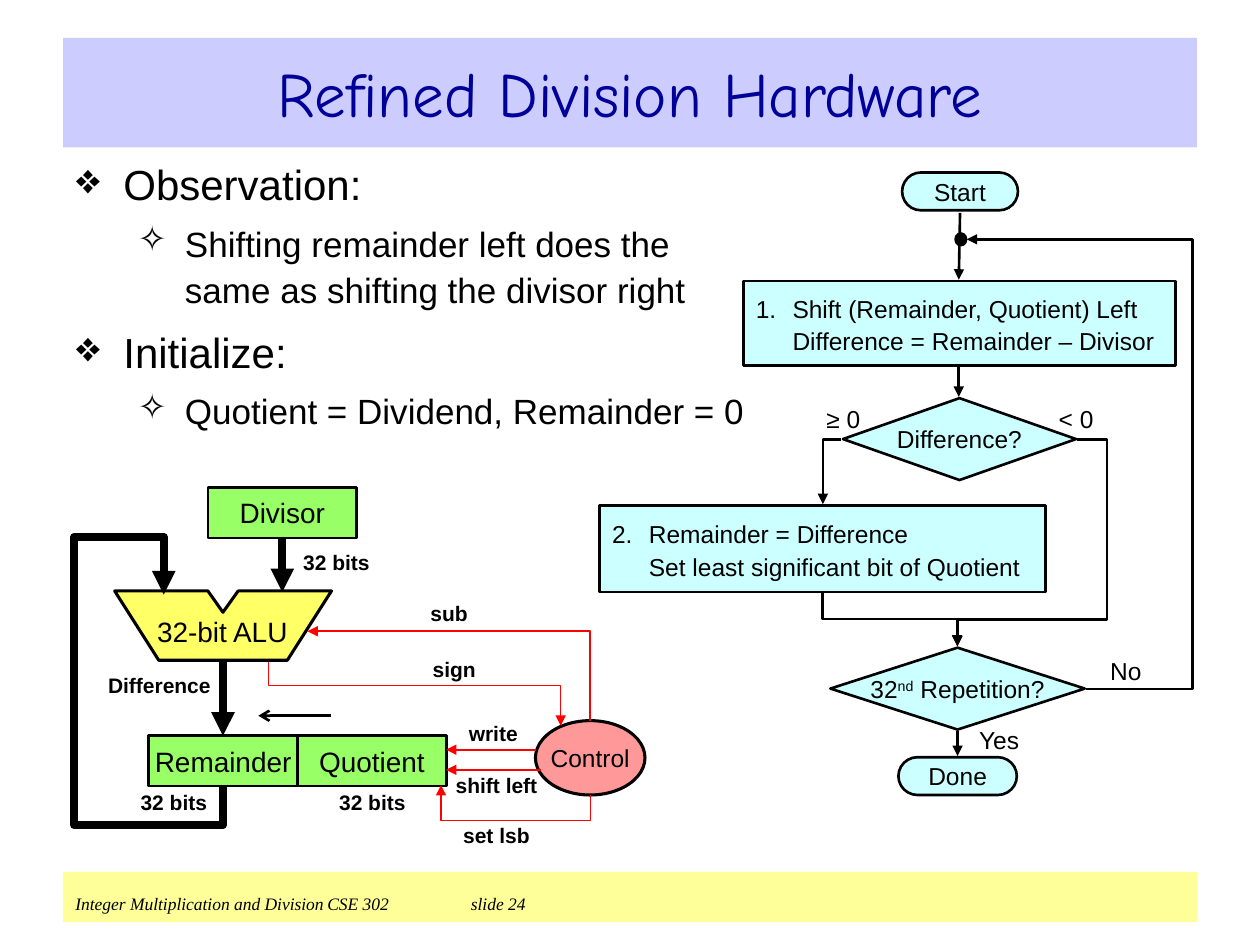
from dataclasses import dataclass
from typing import Any, Optional

from lxml import etree
from pptx import Presentation
from pptx import util as u
from pptx.dml.color import RGBColor
from pptx.enum import shapes, text
from pptx.oxml import ns

Pt = u.Pt
Kind = shapes.MSO_SHAPE
Point = tuple[float, float]
Frame = tuple[float, float, float, float]


@dataclass(frozen=True)
class Theme:
    """Colours, fonts and type sizes of the slide."""
    black: str = "000000"
    red: str = "FF0000"
    navy: str = "000099"
    lavender: str = "CCCCFF"
    cream: str = "FFFF99"
    cyan: str = "CCFFFF"
    green: str = "99FF66"
    yellow: str = "FFFF66"
    pink: str = "FF9999"
    sans: str = "Arial"
    serif: str = "Times New Roman"
    hand: str = "Comic Neue"
    heading: int = 36
    topic: int = 24
    detail: int = 20
    unit: int = 16
    step: int = 14
    signal: int = 12
    footer: int = 10


THEME = Theme()


@dataclass(frozen=True)
class Node:
    """A filled shape with an optional centred caption."""
    kind: Any
    frame: Frame
    fill: str
    caption: str = ""
    size: int = THEME.step
    line: float = 1.5


@dataclass(frozen=True)
class Step:
    """A numbered flowchart box with two lines."""
    number: int
    frame: Frame
    lines: tuple[str, str]


@dataclass(frozen=True)
class Label:
    """A free caption centred in its frame."""
    frame: Frame
    caption: str
    size: int = THEME.signal
    bold: bool = True


@dataclass(frozen=True)
class Wire:
    """A straight or angled line with an arrowhead at its last point."""
    points: tuple[Point, ...]
    color: str = THEME.black
    width: float = 1.5
    arrow: str = "triangle"


@dataclass(frozen=True)
class Elbow:
    """A bent connector given by its frame, turn, flips and adjustments."""
    preset: str
    frame: Frame
    turn: int = 0
    flip: str = ""
    adjust: tuple[float, ...] = ()


@dataclass(frozen=True)
class Bullet:
    """One paragraph of the outline."""
    caption: str
    level: int
    before: float
    mark: Optional[str] = None


NODES = [
    Node(Kind.OVAL, (545.8, 133.2, 6.5, 7.2), THEME.black, line=1),
    Node(Kind.FLOWCHART_TERMINATOR, (515.5, 98.6, 66.2, 21.6), THEME.cyan, "Start"),
    Node(Kind.FLOWCHART_DECISION, (481.7, 227.5, 133.2, 46.8), THEME.cyan, "Difference?"),
    Node(Kind.FLOWCHART_DECISION, (474.5, 370.1, 145.4, 46.8), THEME.cyan, "32^nd^ Repetition?"),
    Node(Kind.FLOWCHART_TERMINATOR, (513.4, 432.7, 67.7, 21.6), THEME.cyan, "Done"),
    Node(Kind.RECTANGLE, (118.8, 278.6, 85, 28.8), THEME.green, "Divisor", THEME.unit),
    Node(Kind.RECTANGLE, (85, 420.5, 85, 28.8), THEME.green, "Remainder", THEME.unit),
    Node(Kind.RECTANGLE, (170, 420.5, 85, 28.8), THEME.green, "Quotient", THEME.unit),
    Node(Kind.OVAL, (306, 411.8, 62.6, 42.5), THEME.pink, "Control", line=1.75),
]
STEPS = [
    Step(1, (424.8, 160.6, 247, 48.2), ("Shift (Remainder, Quotient) Left", "Difference = Remainder – Divisor")),
    Step(2, (342.7, 288.7, 254.9, 49.7), ("Remainder = Difference", "Set least significant bit of Quotient")),
]
ALU = ((189.4, 337.7), (136.1, 337.7), (127.4, 349.9), (118.8, 337.7), (65.5, 337.7), (90.7, 377.3), (164.2, 377.3))
LABELS = [
    Label((597.6, 226.8, 34.6, 24.5), "< 0", THEME.step, False),
    Label((465.1, 226.8, 33.8, 24.5), "≥ 0", THEME.step, False),
    Label((627.1, 370.8, 32.4, 24.5), "No", THEME.step, False),
    Label((551.5, 414.7, 38.9, 15.8), "Yes", THEME.step, False),
    Label((87.1, 347, 79.9, 28.1), "32-bit ALU", THEME.unit, False),
    Label((257.8, 439.9, 51.8, 17.3), "shift left"),
    Label((169.2, 312.5, 46.1, 17.3), "32 bits"),
    Label((190.1, 451.4, 45.4, 14.4), "32 bits"),
    Label((76.3, 451.4, 46.1, 14.4), "32 bits"),
    Label((263.5, 411.8, 36.7, 14.4), "write"),
    Label((238.3, 343.4, 36.7, 14.4), "sub"),
    Label((241.2, 375.1, 36.7, 14.4), "sign"),
    Label((59.8, 383, 62.6, 17.3), "Difference"),
    Label((254.9, 468.7, 57.6, 17.3), "set lsb"),
]
WIRES = [
    Wire(((548.6, 121.7), (547.9, 159.8))),
    Wire(((547.9, 209.5), (547.9, 226.8))),
    Wire(((547.2, 417.6), (547.2, 432))),
    Wire(((189.4, 409), (147.6, 409)), arrow="arrow"),
    Wire(((127.4, 377.3), (127.4, 420.5)), width=4.5),
    Wire(((161.3, 307.4), (161.3, 338.4)), width=4.5),
    Wire(((127.4, 448.6), (127.4, 471.6), (42.5, 471.6), (42.5, 306.7), (93.6, 306.7), (93.6, 339.8)), width=4.5),
    Wire(((308.9, 439.9), (254.9, 439.9)), THEME.red, 1),
    Wire(((306, 428.4), (254.9, 428.4)), THEME.red, 1),
    Wire(((337.3, 411.8), (337.3, 360.7), (175.7, 360.7)), THEME.red, 1),
    Wire(((153.4, 378), (153.4, 391.7), (320.4, 391.7), (320.4, 414.7)), THEME.red, 0.75),
    Wire(((337.3, 454.3), (337.3, 468.7), (252, 468.7), (252, 448.6)), THEME.red, 0.75),
]
ELBOWS = [
    Elbow("bentConnector2", (470.2, 251.3, 10.4, 36.7), 180, "v"),
    Elbow("bentConnector3", (493.3, 315.3, 30.2, 77), 270, "h", (0.5,)),
    Elbow("bentConnector4", (547.2, 251.3, 68.4, 118.1), 0, "h", (-0.25, 0.87)),
    Elbow("bentConnector3", (552.5, 136.8, 67.9, 257), 0, "hv", (-0.9,)),
]
OUTLINE = [
    Bullet("Observation:", 0, 0, "❖"),
    Bullet("Shifting remainder left does the", 1, 7.5, "✧"),
    Bullet("same as shifting the divisor right", 1, 2.5),
    Bullet("Initialize:", 0, 9, "❖"),
    Bullet("Quotient = Dividend, Remainder = 0", 1, 7.5, "✧"),
]


def assign(target: Any, **values: Any) -> None:
    """Set every given attribute on the target."""
    for name, value in values.items():
        setattr(target, name, value)


def frame_text(box: Any, margins: Frame = (0, 0, 0, 0), anchor: Any = text.MSO_ANCHOR.MIDDLE,
               wrap: bool = True) -> Any:
    """Format the text frame of a box and return it."""
    left, top, right, bottom = map(Pt, margins)
    assign(box.text_frame, margin_left=left, margin_top=top, margin_right=right, margin_bottom=bottom,
           vertical_anchor=anchor, word_wrap=wrap, auto_size=text.MSO_AUTO_SIZE.NONE)
    return box.text_frame


def write(para: Any, caption: str, size: int, name: str = THEME.sans, color: str = THEME.black, **style: Any) -> None:
    """Add a caption whose pieces between carets are superscript."""
    for index, piece in enumerate(caption.split("^")):
        span = para.add_run()
        span.text = piece
        assign(span.font, size=Pt(size), name=name, **style)
        span.font.color.rgb = RGBColor.from_string(color)
        if index % 2:
            span.font._element.set("baseline", "30000")


def hang(para: Any, left: float, first: float, tag: str = "a:buNone", **mark: str) -> None:
    """Give a paragraph a hanging indent and a bullet."""
    props = para._p.get_or_add_pPr()
    props.set("marL", str(int(Pt(left))))
    props.set("indent", str(int(Pt(first))))
    etree.SubElement(props, ns.qn(tag), **mark)


def paint(box: Any, fill: str, line: float = 0) -> None:
    """Fill a shape and outline it in black when a width is given."""
    box.shadow.inherit = False
    box.fill.solid()
    box.fill.fore_color.rgb = RGBColor.from_string(fill)
    if line:
        assign(box.line, width=Pt(line))
        box.line.color.rgb = RGBColor.from_string(THEME.black)
    else:
        box.line.fill.background()


def stroke(link: Any, color: str, width: float, arrow: str) -> None:
    """Set line colour, width and end arrow, without a shadow."""
    link.line.color.rgb = RGBColor.from_string(color)
    link.line.width = Pt(width)
    props = link._element.spPr
    etree.SubElement(props.find(ns.qn("a:ln")), ns.qn("a:tailEnd"), type=arrow)
    etree.SubElement(props, ns.qn("a:effectLst"))


def outline(page: Any, points: tuple[Point, ...], close: bool) -> Any:
    """Build a freeform through the points."""
    (x, y), *rest = [(Pt(a), Pt(b)) for a, b in points]
    builder = page.shapes.build_freeform(x, y)
    builder.add_line_segments(rest, close=close)
    return builder.convert_to_shape()


def draw_node(page: Any, node: Node) -> None:
    """Draw a node with its caption."""
    box = page.shapes.add_shape(node.kind, *map(Pt, node.frame))
    paint(box, node.fill, node.line)
    if node.caption:
        para = frame_text(box, wrap=False).paragraphs[0]
        para.alignment = text.PP_ALIGN.CENTER
        write(para, node.caption, node.size)


def draw_step(page: Any, step: Step) -> None:
    """Draw a numbered step."""
    box = page.shapes.add_shape(Kind.RECTANGLE, *map(Pt, step.frame))
    paint(box, THEME.cyan, 1.5)
    frame = frame_text(box, (7.2, 3.6, 0, 3.6))
    for index, line in enumerate(step.lines):
        para = frame.add_paragraph() if index else frame.paragraphs[0]
        assign(para, alignment=text.PP_ALIGN.LEFT, line_spacing=1.1)
        if index:
            hang(para, 21, 0)
        else:
            hang(para, 21, -21, "a:buAutoNum", type="arabicPeriod", startAt=str(step.number))
        write(para, line, THEME.step)


def draw_label(page: Any, label: Label) -> None:
    """Draw a free caption."""
    para = frame_text(page.shapes.add_textbox(*map(Pt, label.frame))).paragraphs[0]
    para.alignment = text.PP_ALIGN.CENTER
    write(para, label.caption, label.size, bold=label.bold)


def draw_wire(page: Any, wire: Wire) -> None:
    """Draw a straight connector or an open angled line."""
    if len(wire.points) == 2:
        start, end = wire.points
        link = page.shapes.add_connector(shapes.MSO_CONNECTOR.STRAIGHT, *map(Pt, (*start, *end)))
    else:
        link = outline(page, wire.points, False)
        link.fill.background()
    stroke(link, wire.color, wire.width, wire.arrow)


def draw_elbow(page: Any, elbow: Elbow) -> None:
    """Draw a bent connector."""
    left, top, width, height = elbow.frame
    xs, ys = (left, left + width), (top, top + height)
    h, v = "h" in elbow.flip, "v" in elbow.flip
    link = page.shapes.add_connector(shapes.MSO_CONNECTOR.ELBOW, *map(Pt, (xs[h], ys[v], xs[not h], ys[not v])))
    props = link._element.spPr
    props.find(ns.qn("a:xfrm")).set("rot", str(elbow.turn * 60000))
    shape = props.find(ns.qn("a:prstGeom"))
    shape.set("prst", elbow.preset)
    for index, value in enumerate(elbow.adjust, 1):
        etree.SubElement(shape.find(ns.qn("a:avLst")), ns.qn("a:gd"),
                         name=f"adj{index}", fmla=f"val {round(value * 100000)}")
    stroke(link, THEME.black, 1.5, "triangle")


def draw_title(page: Any) -> None:
    """Place and format the title."""
    box = page.shapes.title
    assign(box, left=Pt(36), top=Pt(21.6), width=Pt(648), height=Pt(62.6))
    box.fill.solid()
    box.fill.fore_color.rgb = RGBColor.from_string(THEME.lavender)
    para = frame_text(box).paragraphs[0]
    para.alignment = text.PP_ALIGN.CENTER
    write(para, "Refined Division Hardware", THEME.heading, THEME.hand, THEME.navy)


def draw_footer(page: Any) -> None:
    """Draw the footer band with its tabbed text."""
    box = page.shapes.add_shape(Kind.RECTANGLE, *map(Pt, (36, 498.2, 648, 28.8)))
    paint(box, THEME.cream)
    para = frame_text(box, (7.2, 12, 7.2, 0), text.MSO_ANCHOR.TOP).paragraphs[0]
    para.alignment = text.PP_ALIGN.LEFT
    tabs = etree.SubElement(para._p.get_or_add_pPr(), ns.qn("a:tabLst"))
    for stop in (144, 226):
        etree.SubElement(tabs, ns.qn("a:tab"), pos=str(int(Pt(stop))), algn="l")
    write(para, "Integer Multiplication and Division\tCSE 302\tslide 24", THEME.footer, THEME.serif, italic=True)


def draw_outline(page: Any) -> None:
    """Draw the bulleted outline."""
    box = page.shapes.add_textbox(*map(Pt, (36, 87.1, 409, 197.3)))
    frame = frame_text(box, (7.2, 3.6, 7.2, 3.6), text.MSO_ANCHOR.TOP)
    for index, bullet in enumerate(OUTLINE):
        para = frame.add_paragraph() if index else frame.paragraphs[0]
        assign(para, level=bullet.level, space_before=Pt(bullet.before))
        left = (27.4, 62.6)[bullet.level]
        if bullet.mark:
            hang(para, left, -27, "a:buChar", char=bullet.mark)
        else:
            hang(para, left, 0)
        write(para, bullet.caption, (THEME.topic, THEME.detail)[bullet.level])


def main() -> None:
    """Build the slide and save the deck."""
    deck = Presentation()
    assign(deck, slide_width=Pt(720), slide_height=Pt(540))
    page = deck.slides.add_slide(deck.slide_layouts.get_by_name("Title Only"))
    for draw in (draw_footer, draw_title, draw_outline):
        draw(page)
    paint(outline(page, ALU, True), THEME.yellow, 1.75)
    for draw, items in ((draw_node, NODES), (draw_step, STEPS), (draw_elbow, ELBOWS),
                        (draw_wire, WIRES), (draw_label, LABELS)):
        for item in items:
            draw(page, item)
    deck.save("out.pptx")


if __name__ == "__main__":
    main()
